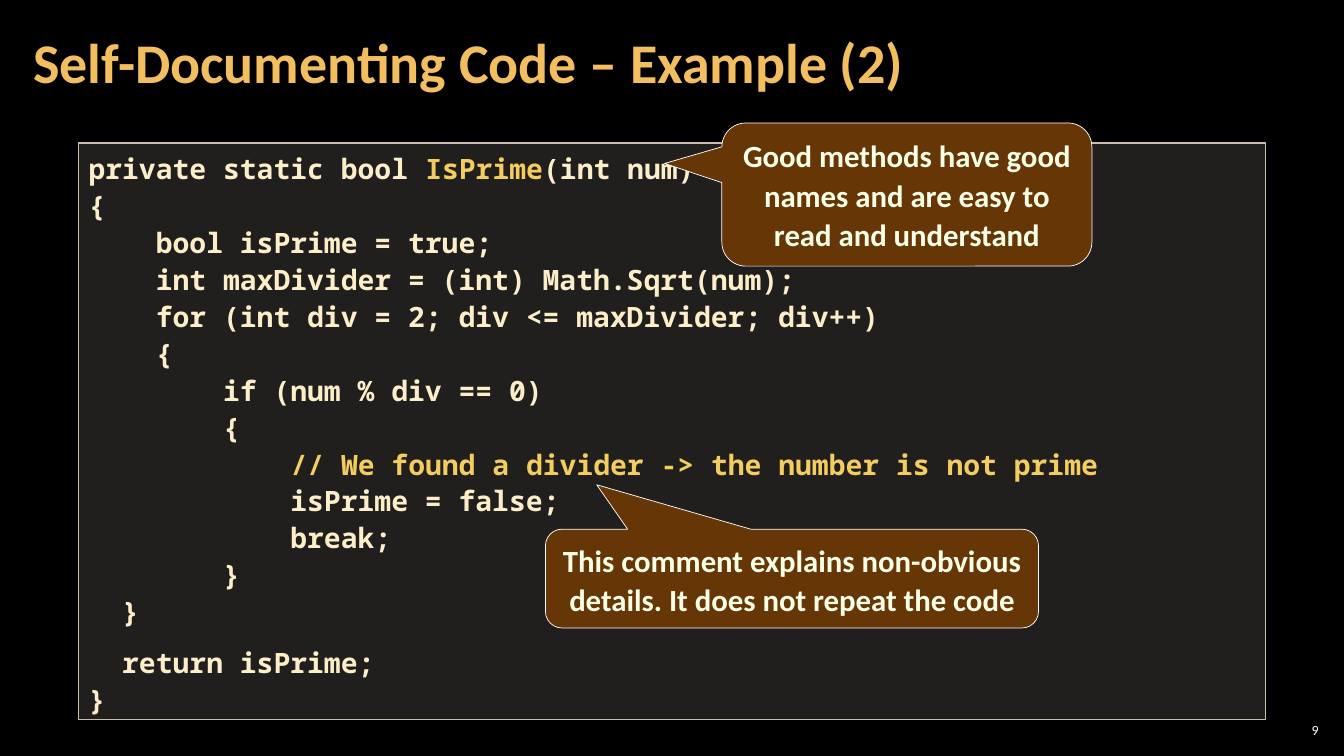
from pptx import Presentation
from pptx.dml.color import RGBColor
from pptx.enum.shapes import MSO_SHAPE
from pptx.enum.text import MSO_ANCHOR, MSO_AUTO_SIZE, PP_ALIGN
from pptx.oxml.ns import qn
from pptx.util import Inches, Pt
from lxml import etree

BLACK = RGBColor(0x00, 0x00, 0x00)
WHITE = RGBColor(0xFF, 0xFF, 0xFF)
TITLE_GOLD = RGBColor(0xF3, 0xBE, 0x60)
CODE_CREAM = RGBColor(0xFB, 0xEE, 0xC9)
CODE_GOLD = RGBColor(0xF3, 0xCD, 0x60)
PANEL_FILL = RGBColor(0xD9, 0xD5, 0xC7)
PANEL_LINE = RGBColor(0xC7, 0xBF, 0xAC)
BROWN = RGBColor(0x66, 0x36, 0x06)
CALLOUT_TEXT = RGBColor(0xF7, 0xFF, 0xE7)

HIGHLIGHTS = ("IsPrime", "// We found a divider -> the number is not prime")
CODE = """private static bool IsPrime(int num)
{
    bool isPrime = true;
    int maxDivider = (int) Math.Sqrt(num);
    for (int div = 2; div <= maxDivider; div++)
    {
        if (num % div == 0)
        {
            // We found a divider -> the number is not prime
            isPrime = false;
            break;
        }
  }
  return isPrime;
}"""

# left, top, width, height, adjustments, text
CALLOUTS = [
    (7.16, 1.22, 3.67, 1.42, (-0.655, -0.217, 0.167),
     "Good methods have good names and are easy to read and understand"),
    (5.41, 5.25, 4.89, 0.98, (-0.396, -0.95, 0.167),
     "This comment explains non-obvious details. It does not repeat the code"),
]


def style_font(font, name, size, color, bold=True):
    font.name = name
    font.size = Pt(size)
    font.bold = bold
    font.color.rgb = color


def add_filled(preset, box, fill, line, line_width):
    shape = slide.shapes.add_shape(preset, *map(Inches, box))
    shape.shadow.inherit = False
    shape.fill.solid()
    shape.fill.fore_color.rgb = fill
    shape.line.color.rgb = line
    shape.line.width = Pt(line_width)
    shape.text_frame.word_wrap = True
    return shape


prs = Presentation()
prs.slide_width, prs.slide_height = Inches(13.33), Inches(7.5)
slide = prs.slides.add_slide(prs.slide_layouts[5])
slide.background.fill.solid()
slide.background.fill.fore_color.rgb = BLACK

# Title
title = slide.shapes.title
title.left, title.top = Inches(0.21), Inches(0.04)
title.width, title.height = Inches(10.47), Inches(1.21)
title_frame = title.text_frame
title_frame.text = "Self-Documenting Code – Example (2)"
title_frame.auto_size = MSO_AUTO_SIZE.NONE
title_frame.vertical_anchor = MSO_ANCHOR.MIDDLE
title_frame.margin_left = title_frame.margin_right = Inches(0.12)
title_frame.margin_top = title_frame.margin_bottom = Inches(0.04)
heading = title_frame.paragraphs[0]
heading.alignment = PP_ALIGN.LEFT
heading.line_spacing = 0.9
style_font(heading.font, "Calibri", 40, TITLE_GOLD)

# Code panel with a translucent fill
panel = add_filled(MSO_SHAPE.RECTANGLE, (0.78, 1.42, 11.77, 5.72),
                   PANEL_FILL, PANEL_LINE, 1)
panel_color = panel.fill._xPr.find(qn("a:solidFill"))[0]
etree.SubElement(panel_color, qn("a:alpha")).set("val", "15000")
code_frame = panel.text_frame
code_frame.vertical_anchor = MSO_ANCHOR.TOP
for number, code_line in enumerate(CODE.split("\n")):
    line = code_frame.add_paragraph() if number else code_frame.paragraphs[0]
    line.alignment = PP_ALIGN.LEFT
    line.line_spacing = Pt(26.4)
    if code_line.strip().startswith("return"):
        line.space_before = Pt(10)
    style_font(line.font, "Noto Sans Mono", 20, CODE_CREAM)
    marked = next((word for word in HIGHLIGHTS if word in code_line), "")
    before, _, after = code_line.partition(marked) if marked else (code_line, "", "")
    for part in filter(None, (before, marked, after)):
        run = line.add_run()
        run.text = part
        style_font(run.font, "Noto Sans Mono", 20,
                   CODE_GOLD if part == marked else CODE_CREAM)

# Callouts
for *box, adjustments, remark in CALLOUTS:
    callout = add_filled(MSO_SHAPE.ROUNDED_RECTANGULAR_CALLOUT, box, BROWN, WHITE, 0.5)
    for index, value in enumerate(adjustments):
        callout.adjustments[index] = value
    callout.text_frame.text = remark
    callout.text_frame.vertical_anchor = MSO_ANCHOR.TOP
    explanation = callout.text_frame.paragraphs[0]
    explanation.alignment = PP_ALIGN.CENTER
    explanation.line_spacing = Pt(28)
    style_font(explanation.font, "Calibri", 22, CALLOUT_TEXT)

# Slide number
page_number = slide.shapes.add_textbox(Inches(12.65), Inches(7.14), Inches(0.47), Inches(0.21))
number_frame = page_number.text_frame
number_frame.word_wrap = True
number_frame.vertical_anchor = MSO_ANCHOR.MIDDLE
number_frame.margin_left = number_frame.margin_right = Inches(0.04)
number_frame.margin_top = number_frame.margin_bottom = Inches(0.04)
number_frame.text = "9"
number_frame.paragraphs[0].alignment = PP_ALIGN.RIGHT
style_font(number_frame.paragraphs[0].font, "Calibri", 10, WHITE, bold=False)

prs.save("out.pptx")
